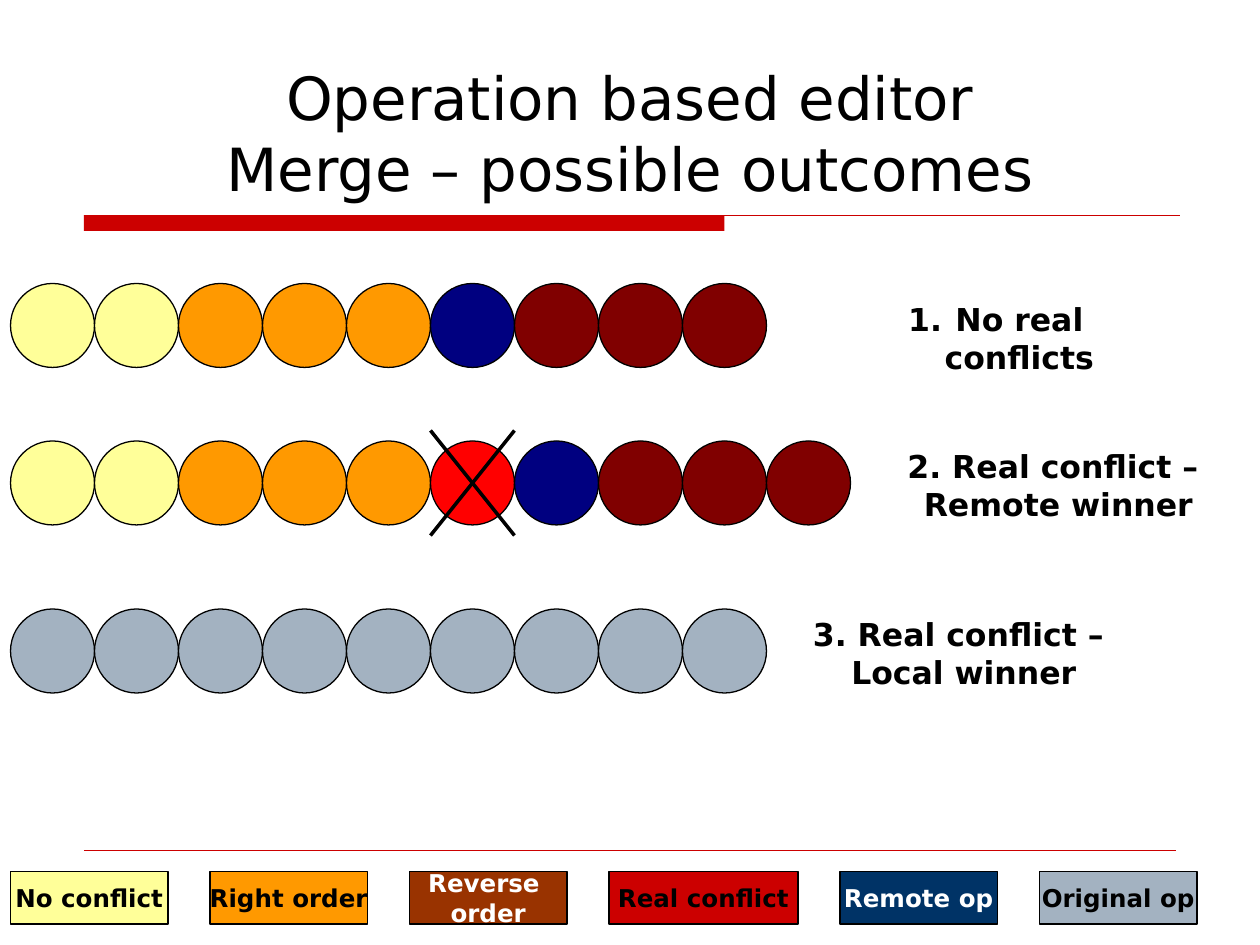
from dataclasses import dataclass

from lxml import etree
from pptx import Presentation
from pptx.dml.color import RGBColor
from pptx.enum.shapes import MSO_CONNECTOR, MSO_SHAPE
from pptx.enum.text import MSO_ANCHOR, PP_ALIGN
from pptx.oxml.ns import qn
from pptx.util import Pt

STRAIGHT = MSO_CONNECTOR.STRAIGHT
OVAL, RECTANGLE = MSO_SHAPE.OVAL, MSO_SHAPE.RECTANGLE
TOP, MIDDLE, BOTTOM = MSO_ANCHOR.TOP, MSO_ANCHOR.MIDDLE, MSO_ANCHOR.BOTTOM
CENTER = PP_ALIGN.CENTER


@dataclass(frozen=True)
class Theme:
    """Colours, font and type sizes of the slide."""
    font: str = "DejaVu Sans"
    title_size: int = 34
    label_size: int = 18
    legend_size: int = 14
    outline: float = 0.75
    black: str = "000000"
    white: str = "FFFFFF"
    accent: str = "CC0000"
    yellow: str = "FFFF99"
    orange: str = "FF9900"
    navy: str = "000080"
    maroon: str = "800000"
    red: str = "FF0000"
    grey: str = "A3B2C1"
    brown: str = "993300"
    blue: str = "003366"


THEME = Theme()
LEFT = 6
DIAMETER = 48
CROSS_MARGIN = 6
LABEL_INDENT = 27
LEGEND_TOP, LEGEND_HEIGHT, LEGEND_GAP = 498, 30, 24


def write_text(shape, lines, size, color=THEME.black, bold=True, anchor=TOP, wrap=True):
    """Write centred paragraphs, one for each line."""
    frame = shape.text_frame
    frame.word_wrap = wrap
    frame.vertical_anchor = anchor
    frame.text = "\n".join(lines)
    for para in frame.paragraphs:
        para.alignment = CENTER
        para.font.name = THEME.font
        para.font.size = Pt(size)
        para.font.bold = bold
        para.font.color.rgb = RGBColor.from_string(color)


def add_shape(page, kind, left, top, width, height, fill, line=THEME.black):
    """Add a filled and outlined preset shape."""
    shape = page.shapes.add_shape(kind, Pt(left), Pt(top), Pt(width), Pt(height))
    shape.shadow.inherit = False
    shape.fill.solid()
    shape.fill.fore_color.rgb = RGBColor.from_string(fill)
    if line:
        shape.line.color.rgb = RGBColor.from_string(line)
        shape.line.width = Pt(THEME.outline)
    else:
        shape.line.fill.background()
    return shape


def add_line(page, start, end, color, width):
    """Add a straight line without shadow."""
    line = page.shapes.add_connector(STRAIGHT, *(Pt(value) for value in start + end))
    line.line.color.rgb = RGBColor.from_string(color)
    line.line.width = Pt(width)
    etree.SubElement(line._element.spPr, qn("a:effectLst"))


def add_title(page, text):
    """Add the title, the bar under it and the two rules."""
    box = page.shapes.add_textbox(Pt(45), Pt(24), Pt(630), Pt(96))
    write_text(box, [text], THEME.title_size, bold=False, anchor=BOTTOM)
    add_shape(page, RECTANGLE, 48, 123, 366, 9, THEME.accent, line=None)
    add_line(page, (48, 123), (674.5, 123), THEME.accent, THEME.outline)
    add_line(page, (48, 486), (672, 486), THEME.accent, 0.25)


def add_chain(page, top, colors):
    """Add a row of touching circles."""
    for index, color in enumerate(colors):
        add_shape(page, OVAL, LEFT + index * DIAMETER, top, DIAMETER, DIAMETER, color)


def add_cross(page, index, top):
    """Cross out one circle of a chain."""
    left = LEFT + index * DIAMETER
    right = left + DIAMETER
    upper, lower = top - CROSS_MARGIN, top + DIAMETER + CROSS_MARGIN
    add_line(page, (left, upper), (right, lower), THEME.black, 2)
    add_line(page, (right, upper), (left, lower), THEME.black, 2)


def add_label(page, left, top, width, lines, numbered=False):
    """Add an outcome label with a hanging indent."""
    box = page.shapes.add_textbox(Pt(left), Pt(top), Pt(width), Pt(50))
    write_text(box, lines, THEME.label_size)
    for para in box.text_frame.paragraphs:
        properties = para._p.get_or_add_pPr()
        properties.set("marL", str(Pt(LABEL_INDENT)))
        properties.set("indent", str(-Pt(LABEL_INDENT)))
        if numbered:
            number = etree.Element(qn("a:buAutoNum"), type="arabicPeriod")
            properties.insert_element_before(number, "a:tabLst", "a:defRPr", "a:extLst")


def add_legend(page, entries):
    """Add the row of legend boxes with equal gaps."""
    left = LEFT
    for lines, width, fill, color in entries:
        box = add_shape(page, RECTANGLE, left, LEGEND_TOP, width, LEGEND_HEIGHT, fill)
        write_text(box, lines, THEME.legend_size, color, anchor=MIDDLE, wrap=False)
        left += width + LEGEND_GAP


def main():
    """Build the slide and save it."""
    deck = Presentation()
    deck.slide_width, deck.slide_height = Pt(720), Pt(540)
    page = deck.slides.add_slide(deck.slide_layouts[6])
    add_title(page, "Operation based editor\vMerge – possible outcomes")

    local = [THEME.yellow] * 2 + [THEME.orange] * 3
    remote = [THEME.navy] + [THEME.maroon] * 3
    add_chain(page, 162, local + remote)
    add_label(page, 475, 168, 188, ["No real conflicts"], numbered=True)
    add_chain(page, 252, local + [THEME.red] + remote)
    add_cross(page, len(local), 252)
    add_label(page, 496, 252, 217.5, ["2. Real conflict – ", "Remote winner"])
    add_chain(page, 348, [THEME.grey] * 9)
    add_label(page, 442, 348, 217.5, ["3. Real conflict – ", "Local winner"])

    add_legend(page, [
        (["No conflict"], 90, THEME.yellow, THEME.black),
        (["Right order"], 90, THEME.orange, THEME.black),
        (["Reverse ", "order"], 90, THEME.brown, THEME.white),
        (["Real conflict"], 108, THEME.accent, THEME.black),
        (["Remote op"], 90, THEME.blue, THEME.white),
        (["Original op"], 90, THEME.grey, THEME.black),
    ])
    deck.save("out.pptx")


main()
